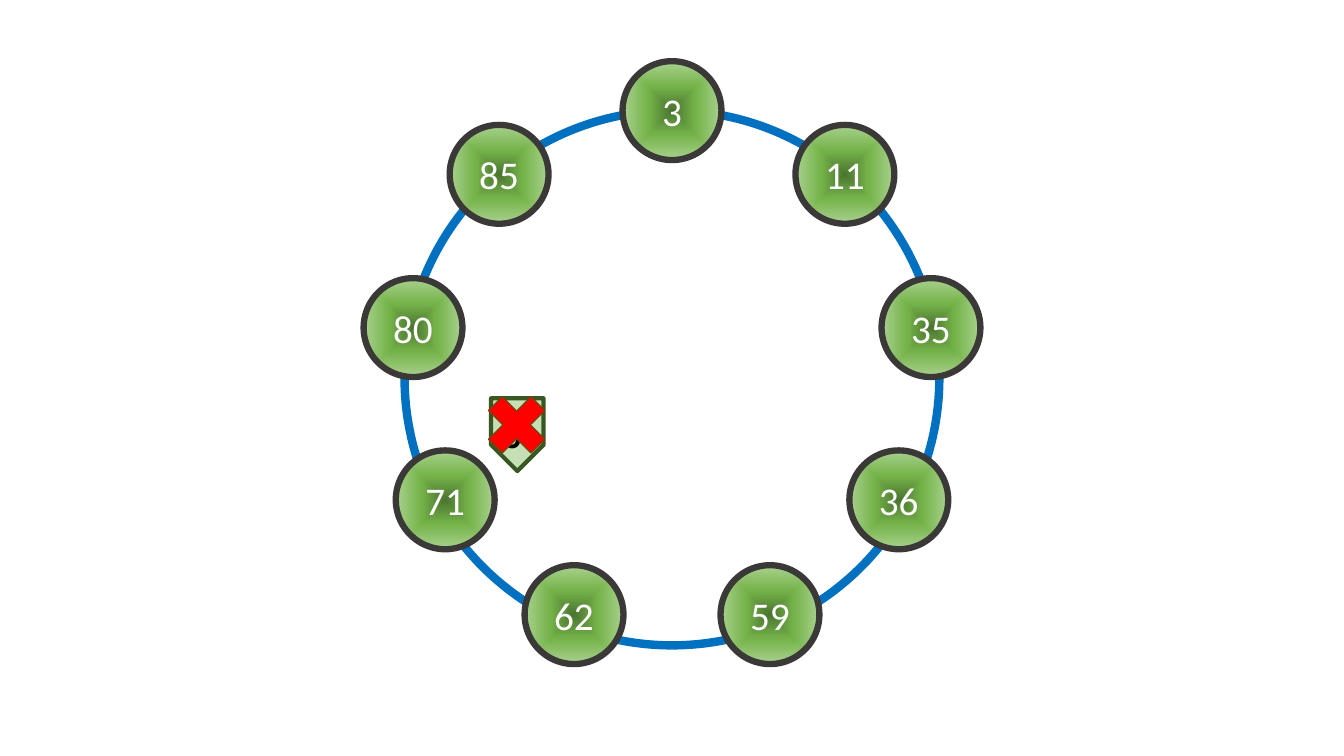
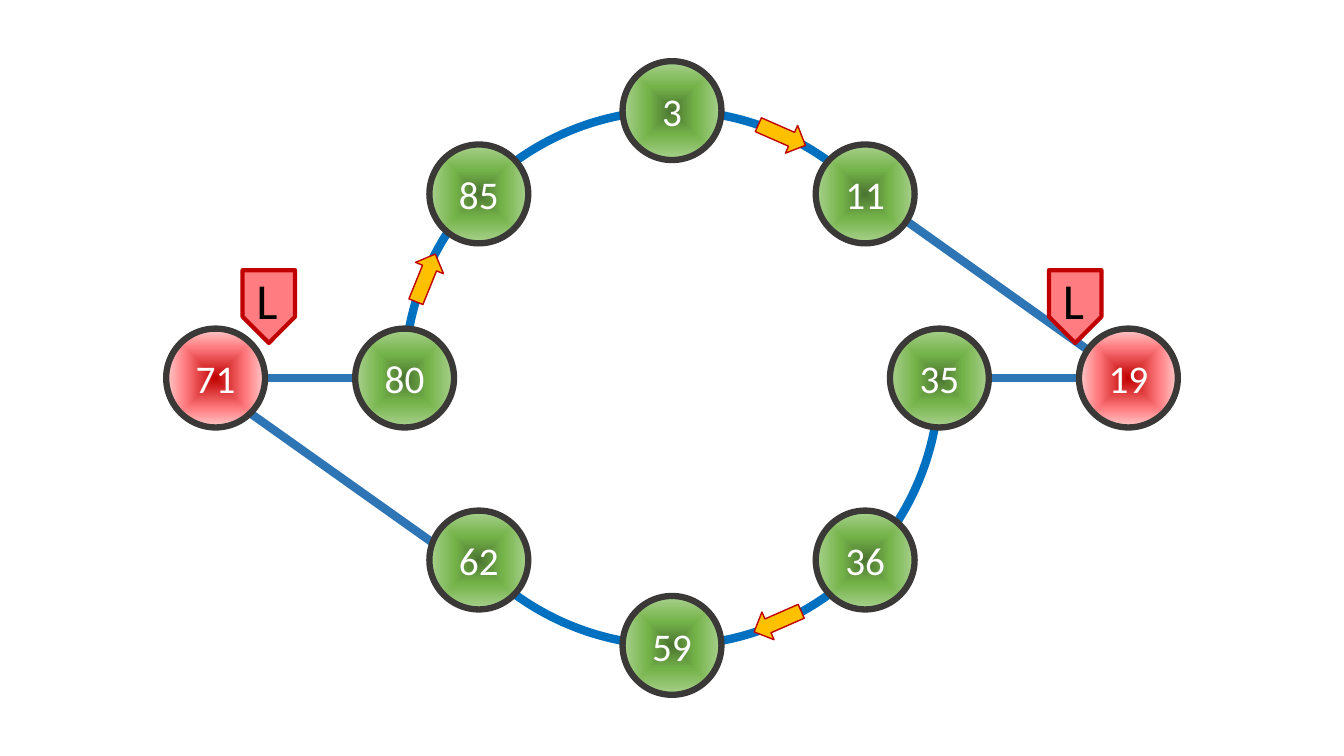
from lxml import etree
from pptx import Presentation
from pptx.dml.color import RGBColor
from pptx.enum.shapes import MSO_CONNECTOR, MSO_SHAPE
from pptx.enum.text import MSO_ANCHOR, PP_ALIGN
from pptx.oxml import parse_xml
from pptx.oxml.ns import nsdecls, qn
from pptx.util import Pt

ARC = MSO_SHAPE.ARC
CROSS = MSO_SHAPE.MATH_MULTIPLY
ELLIPSE = MSO_SHAPE.OVAL
PENTAGON = MSO_SHAPE.PENTAGON
RIGHT_ARROW = MSO_SHAPE.RIGHT_ARROW
STRAIGHT = MSO_CONNECTOR.STRAIGHT
CENTER = PP_ALIGN.CENTER
MIDDLE = MSO_ANCHOR.MIDDLE

COLORS = {
    "ring": "0070C0", "link": "2E75B6", "node line": "3B3838",
    "node text": "FFFFFF", "flag text": "000000",
    "arrow": "FFC000", "arrow line": "C00000",
    "cross": "FF0000", "cross line": "843C0B",
    "joined flag": "C5E0B4", "joined flag line": "385723",
    "leader flag": "FF7C80", "leader flag line": "C00000",
}
# Gradient stops from the middle of a node to its rim: percent, colour
GRADIENTS = {
    "green": [(0, "4B7430"), (48, "74B349"), (100, "A9D18E")],
    "red": [(0, "C00000"), (62, "FF7C80"), (100, "FFCCCC")],
}
FONT = "Calibri"
CENTER_X, CENTER_Y = 480, 270
RADIUS = 191
NODE_SIZE = 70.6

# Every place below is an offset from the slide centre.
# node: number, x, y, gradient; arc: start and end angle; link: x1, y1, x2, y2
# flag: letter, x, y, kind; arrow: x, y, rotation; cross: x, y
SLIDES = [
    {
        "arcs": [],
        "links": [],
        "nodes": [
            ("3", 0, -RADIUS, "green"),
            ("11", 123.5, -145.5, "green"), ("35", 185, -36, "green"),
            ("36", 162, 87, "green"), ("59", 70, 169, "green"),
            ("62", -70, 169, "green"), ("71", -162, 87, "green"),
            ("80", -185, -36, "green"), ("85", -123.5, -145.5, "green"),
        ],
        "arrows": [],
        "flags": [("J", -110.5, 40.5, "joined flag")],
        "crosses": [(-111, 33.5)],
    },
    {
        "arcs": [(180, 316), (0, 136)],
        "links": [
            (162, -116, 298.5, -19), (225.5, 0, 291, 0),
            (-301.5, 25, -165.5, 121.5), (-291, 0, -225.5, 0),
        ],
        "nodes": [
            ("3", 0, -RADIUS, "green"), ("11", 138, -131.5, "green"),
            ("35", RADIUS, 0, "green"), ("36", 138, 130, "green"),
            ("59", 0, RADIUS, "green"), ("62", -138, 130, "green"),
            ("80", -RADIUS, 0, "green"), ("85", -138, -131.5, "green"),
            ("71", -326, 0, "red"), ("19", 326, 0, "red"),
        ],
        "arrows": [(78.5, -173.5, 23.7), (75.5, 174, 156.3), (-176, -71.5, 292.1)],
        "flags": [
            ("L", -288, -51, "leader flag"), ("L", 288, -51, "leader flag"),
        ],
        "crosses": [],
    },
]


def add_centred(shapes, geometry, x, y, width, height, fill, line, line_width):
    """Add a shape around an offset from the slide centre; fill may be None."""
    shape = shapes.add_shape(
        geometry, Pt(CENTER_X + x - width / 2), Pt(CENTER_Y + y - height / 2),
        Pt(width), Pt(height))
    shape.shadow.inherit = False
    if fill:
        shape.fill.solid()
        shape.fill.fore_color.rgb = RGBColor.from_string(COLORS[fill])
    else:
        shape.fill.background()
    shape.line.color.rgb = RGBColor.from_string(COLORS[line])
    shape.line.width = Pt(line_width)
    return shape


def write_centred(shape, text, size, color):
    frame = shape.text_frame
    frame.word_wrap = True
    paragraph = frame.paragraphs[0]
    paragraph.text = text
    paragraph.alignment = CENTER
    paragraph.font.name = FONT
    paragraph.font.size = Pt(size)
    paragraph.font.color.rgb = RGBColor.from_string(COLORS[color])


presentation = Presentation()
presentation.slide_width = Pt(960)
presentation.slide_height = Pt(540)
blank_layout = presentation.slide_layouts[6]

for content in SLIDES:
    slide = presentation.slides.add_slide(blank_layout)
    shapes = slide.shapes

    # Links to the nodes outside the ring
    for x1, y1, x2, y2 in content["links"]:
        link = shapes.add_connector(
            STRAIGHT, Pt(CENTER_X + x1), Pt(CENTER_Y + y1),
            Pt(CENTER_X + x2), Pt(CENTER_Y + y2))
        link.line.color.rgb = RGBColor.from_string(COLORS["link"])
        link.line.width = Pt(6)
        etree.SubElement(link._element.spPr, qn("a:effectLst"))

    # Ring: a whole circle, or only the arcs that remain
    for angles in content["arcs"] or [None]:
        ring = add_centred(shapes, ARC if angles else ELLIPSE, 0, 0,
                           2 * RADIUS, 2 * RADIUS, None, "ring", 6)
        for index, angle in enumerate(angles or ()):
            ring.adjustments[index] = angle * 0.6  # 60000ths of a degree / 100000

    # Numbered nodes
    for number, x, y, gradient in content["nodes"]:
        node = add_centred(shapes, ELLIPSE, x, y, NODE_SIZE, NODE_SIZE,
                           None, "node line", 4.5)
        stops = "".join(
            f'<a:gs pos="{percent * 1000}"><a:srgbClr val="{color}"/></a:gs>'
            for percent, color in GRADIENTS[gradient])
        properties = node._element.spPr
        properties.replace(properties.find(qn("a:noFill")), parse_xml(
            f'<a:gradFill {nsdecls("a")} rotWithShape="1"><a:gsLst>{stops}</a:gsLst>'
            '<a:path path="shape"><a:fillToRect l="50000" t="50000" r="50000" b="50000"/>'
            '</a:path></a:gradFill>'))
        node.text_frame.vertical_anchor = MIDDLE
        write_centred(node, number, 28, "node text")

    # Direction arrows
    for x, y, rotation in content["arrows"]:
        arrow = add_centred(shapes, RIGHT_ARROW, x, y, 36.7, 21.6,
                            "arrow", "arrow line", 1)
        arrow.rotation = rotation

    # Flags: a downward pentagon with an upright letter
    for letter, x, y, kind in content["flags"]:
        flag = shapes.add_group_shape()
        plate = add_centred(flag.shapes, PENTAGON, x, y, 52, 37.5,
                            kind, f"{kind} line", 3)
        plate.rotation = 90
        label = flag.shapes.add_textbox(
            Pt(CENTER_X + x - 20), Pt(CENTER_Y + y - 30), Pt(37.5), Pt(51))
        write_centred(label, letter, 36, "flag text")

    # Crosses over cancelled flags
    for x, y in content["crosses"]:
        add_centred(shapes, CROSS, x, y, 58.3, 58.3, "cross", "cross line", 1)

presentation.save("out.pptx")
